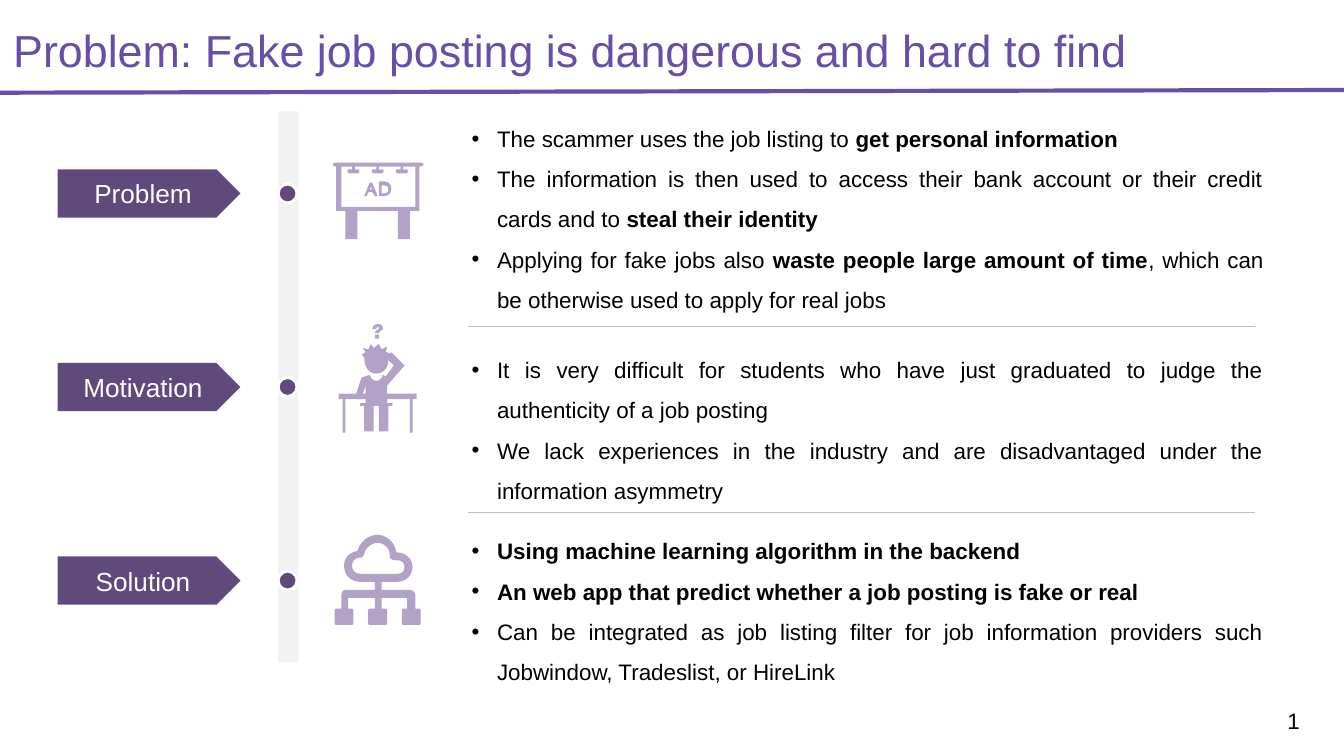
from dataclasses import dataclass

from lxml import etree
from pptx import Presentation
from pptx.dml.color import RGBColor
from pptx.enum.shapes import MSO_CONNECTOR, MSO_SHAPE
from pptx.enum.text import MSO_ANCHOR, PP_ALIGN
from pptx.oxml.ns import qn
from pptx.util import Inches, Pt

RECT, OVAL, TAG = MSO_SHAPE.RECTANGLE, MSO_SHAPE.OVAL, MSO_SHAPE.PENTAGON
STRAIGHT = MSO_CONNECTOR.STRAIGHT
TOP, MIDDLE = MSO_ANCHOR.TOP, MSO_ANCHOR.MIDDLE
LEFT, CENTER, RIGHT, JUSTIFY = PP_ALIGN.LEFT, PP_ALIGN.CENTER, PP_ALIGN.RIGHT, PP_ALIGN.JUSTIFY


@dataclass(frozen=True)
class Theme:
    """Colours, font and type sizes of the slide."""
    font: str = "Arial"
    title: str = "674EA7"
    accent: str = "604A7B"
    icon: str = "B3A2C7"
    track: str = "F2F2F2"
    divider: str = "BFBFBF"
    text: str = "000000"
    white: str = "FFFFFF"
    title_size: int = 24
    label_size: int = 14
    body_size: int = 12


def box(left, top, right, bottom):
    """Return the four corners of a rectangle."""
    return [(left, top), (right, top), (right, bottom), (left, bottom)]


def flatten(contour, steps=6):
    """Turn corner points and six-number Bezier segments into EMU points."""
    points = []
    for seg in contour:
        if len(seg) == 2:
            points.append(seg)
            continue
        ctrl = (points[-1], seg[:2], seg[2:4], seg[4:])
        for i in range(1, steps + 1):
            t = i / steps
            w = ((1 - t) ** 3, 3 * t * (1 - t) ** 2, 3 * t * t * (1 - t), t ** 3)
            points.append(tuple(sum(k * c[n] for k, c in zip(w, ctrl)) for n in (0, 1)))
    return [(Inches(x), Inches(y)) for x, y in points]


class SlideBuilder:
    """Draws styled elements on one slide."""

    def __init__(self, slide, theme):
        """Keep the slide and its theme."""
        self.s, self.theme = slide, theme

    def runs(self, p, parts, size, color):
        """Add (text, bold) runs to a paragraph."""
        for text, bold in parts:
            r = p.add_run()
            r.text = text
            r.font.name, r.font.size, r.font.bold = self.theme.font, Pt(size), bold
            r.font.color.rgb = RGBColor.from_string(color)

    def text(self, at, text, size, color, align=LEFT, anchor=TOP, inset=0.05):
        """Add a text box with one line."""
        tf = self.s.shapes.add_textbox(*map(Inches, at)).text_frame
        tf.word_wrap, tf.vertical_anchor = True, anchor
        tf.margin_top = tf.margin_bottom = Inches(inset)
        p = tf.paragraphs[0]
        p.alignment = align
        self.runs(p, [(text, False)], size, color)

    def bullets(self, at, items):
        """Add a justified bullet list."""
        tf = self.s.shapes.add_textbox(*map(Inches, at)).text_frame
        tf.word_wrap = True
        for i, parts in enumerate(items):
            p = tf.add_paragraph() if i else tf.paragraphs[0]
            p.alignment, p.line_spacing = JUSTIFY, 1.5
            pPr = p._p.get_or_add_pPr()
            pPr.set("marL", str(Inches(0.19)))
            pPr.set("indent", str(Inches(-0.19)))
            color = etree.SubElement(pPr, qn("a:buClr"))
            etree.SubElement(color, qn("a:srgbClr"), val=self.theme.text)
            etree.SubElement(pPr, qn("a:buFont"), typeface=self.theme.font)
            etree.SubElement(pPr, qn("a:buChar"), char="•")
            self.runs(p, parts, self.theme.body_size, self.theme.text)

    def paint(self, sp, fill, line=None):
        """Set the fill and outline of a shape."""
        sp.shadow.inherit = False
        sp.fill.solid()
        sp.fill.fore_color.rgb = RGBColor.from_string(fill)
        if line:
            sp.line.color.rgb, sp.line.width = RGBColor.from_string(line), Pt(1.5)
        else:
            sp.line.fill.background()

    def shape(self, kind, at, fill, line=None, label=None):
        """Add a preset shape with an optional label."""
        sp = self.s.shapes.add_shape(kind, *map(Inches, at))
        self.paint(sp, fill, line)
        if label:
            tf = sp.text_frame
            tf.vertical_anchor = MIDDLE
            p = tf.paragraphs[0]
            p.alignment = CENTER
            self.runs(p, [(label, False)], self.theme.label_size, self.theme.white)

    def line(self, ends, color, width):
        """Add a straight line."""
        sp = self.s.shapes.add_connector(STRAIGHT, *map(Inches, ends))
        sp.line.color.rgb, sp.line.width = RGBColor.from_string(color), Pt(width)
        etree.SubElement(sp._element.spPr, qn("a:effectLst"))

    def icon(self, contours):
        """Add one freeform made of closed contours."""
        first, *others = map(flatten, contours)
        fb = self.s.shapes.build_freeform(*first[0], scale=1.0)
        fb.add_line_segments(first[1:], close=True)
        for points in others:
            fb.move_to(*points[0])
            fb.add_line_segments(points[1:], close=True)
        self.paint(fb.convert_to_shape(), self.theme.icon)


def lamp(x):
    """Return a billboard lamp centred on x."""
    return [(x - 0.01, 1.24), (x + 0.01, 1.24), (x + 0.01, 1.26), (x + 0.03, 1.26),
            (x + 0.05, 1.26, x + 0.05, 1.29, x + 0.03, 1.29), (x - 0.03, 1.29),
            (x - 0.05, 1.29, x - 0.05, 1.26, x - 0.03, 1.26), (x - 0.01, 1.26)]


BILLBOARD = [
    [(2.5, 1.21), (3.13, 1.21), (3.16, 1.21, 3.16, 1.24, 3.12, 1.24), (3.12, 1.57),
     (3.05, 1.57), (3.05, 1.78), (2.96, 1.78), (2.96, 1.57), (2.66, 1.57), (2.66, 1.78),
     (2.57, 1.78), (2.57, 1.57), (2.5, 1.57), (2.5, 1.24), (2.47, 1.24, 2.47, 1.21, 2.5, 1.21)],
    box(2.54, 1.24, 3.09, 1.54), *(lamp(2.63 + 0.18 * i) for i in range(3)),
    [(2.75, 1.36), (2.77, 1.36), (2.81, 1.46), (2.79, 1.46), (2.77, 1.43), (2.74, 1.43),
     (2.73, 1.46), (2.71, 1.46)],
    [(2.76, 1.39), (2.75, 1.41), (2.77, 1.41)],
    [(2.82, 1.35), (2.86, 1.35), (2.93, 1.35, 2.93, 1.46, 2.86, 1.46), (2.82, 1.46)],
    [(2.84, 1.38), (2.86, 1.38), (2.9, 1.38, 2.9, 1.44, 2.86, 1.44), (2.84, 1.44)],
]
STUDENT = [
    [(2.82, 2.56), (2.84, 2.6), (2.88, 2.58), (2.87, 2.62), (2.91, 2.63), (2.91, 2.62),
     (3.01, 2.72), (2.88, 2.87), (2.88, 2.93), (3.1, 2.93), (3.1, 2.97), (3.07, 2.97),
     (3.07, 3.22), (3.05, 3.22), (3.05, 2.97), (2.88, 2.97), (2.88, 3), (2.92, 3), (2.92, 3.02),
     (2.89, 3.02), (2.89, 3.21), (2.82, 3.21), (2.82, 3.02), (2.78, 3.02), (2.78, 3.21),
     (2.71, 3.21), (2.71, 3.02), (2.68, 3.02), (2.68, 3), (2.72, 3), (2.72, 2.97), (2.57, 2.97),
     (2.57, 3.22), (2.55, 3.22), (2.55, 2.97), (2.52, 2.97), (2.52, 2.93), (2.65, 2.93),
     (2.69, 2.81), (2.75, 2.79), (2.77, 2.85, 2.83, 2.85, 2.85, 2.79), (2.87, 2.8), (2.93, 2.72),
     (2.89, 2.68), (2.89, 2.74, 2.85, 2.78, 2.8, 2.78), (2.75, 2.78, 2.71, 2.74, 2.71, 2.66),
     (2.69, 2.64), (2.72, 2.62), (2.7, 2.59), (2.74, 2.6), (2.76, 2.56), (2.78, 2.59)],
    [(2.72, 2.87), (2.7, 2.93), (2.72, 2.93)],
    box(2.79, 2.49, 2.82, 2.52),
    [(2.77, 2.45), (2.77, 2.4, 2.85, 2.4, 2.85, 2.44), (2.85, 2.46, 2.82, 2.46, 2.82, 2.48),
     (2.79, 2.48), (2.79, 2.45, 2.82, 2.46, 2.82, 2.44), (2.82, 2.43, 2.8, 2.43, 2.8, 2.45)],
]
CLOUD = [
    [(2.68, 4.33), (2.61, 4.33, 2.56, 4.28, 2.56, 4.21), (2.56, 4.15, 2.6, 4.11, 2.66, 4.1),
     (2.68, 4.03, 2.74, 3.98, 2.81, 3.98), (2.88, 3.98, 2.94, 4.04, 2.95, 4.11),
     (3.02, 4.11, 3.07, 4.16, 3.07, 4.22), (3.07, 4.28, 3.02, 4.33, 2.96, 4.33)],
    [(2.68, 4.27), (2.64, 4.27, 2.62, 4.24, 2.62, 4.21), (2.62, 4.18, 2.64, 4.15, 2.68, 4.15),
     (2.69, 4.15, 2.71, 4.14, 2.71, 4.12), (2.72, 4.08, 2.76, 4.04, 2.81, 4.04),
     (2.86, 4.04, 2.9, 4.08, 2.9, 4.13), (2.9, 4.16, 2.91, 4.17, 2.96, 4.17),
     (2.99, 4.17, 3.01, 4.19, 3.01, 4.22), (3.01, 4.25, 2.99, 4.27, 2.96, 4.27)],
    [(2.79, 4.33), (2.84, 4.33), (2.84, 4.39), (3.05, 4.39), (3.07, 4.39, 3.09, 4.41, 3.09, 4.43),
     (3.09, 4.53), (3.03, 4.53), (3.03, 4.45), (2.84, 4.45), (2.84, 4.53), (2.79, 4.53),
     (2.79, 4.45), (2.59, 4.45), (2.59, 4.53), (2.54, 4.53), (2.54, 4.43),
     (2.54, 4.41, 2.55, 4.39, 2.57, 4.39), (2.79, 4.39)],
    *([(x + 0.02, 4.53), (x + 0.12, 4.53), (x + 0.14, 4.53, x + 0.14, 4.53, x + 0.14, 4.55),
       (x + 0.14, 4.63), (x + 0.14, 4.65, x + 0.14, 4.65, x + 0.12, 4.65), (x + 0.02, 4.65),
       (x, 4.65, x, 4.65, x, 4.63), (x, 4.55), (x, 4.53, x, 4.53, x + 0.02, 4.53)]
      for x in (2.49, 2.74, 2.99)),
]
SECTIONS = [
    ("Problem", BILLBOARD, 0.78, 1.61, [
        [("The scammer uses the job listing to ", False), ("get personal information", True)],
        [("The information is then used to access their bank account or their credit cards and to ",
          False), ("steal their identity", True)],
        [("Applying for fake jobs also ", False), ("waste people large amount of time", True),
         (", which can be otherwise used to apply for real jobs", False)]]),
    ("Motivation", STUDENT, 2.5, 1.32, [
        [("It is very difficult for students who have just graduated to judge the authenticity "
          "of a job posting", False)],
        [("We lack experiences in the industry and are disadvantaged under the information "
          "asymmetry", False)]]),
    ("Solution", CLOUD, 3.85, 1.3, [
        [("Using machine learning algorithm in the backend", True)],
        [("An web app that predict whether a job posting is fake or real ", True)],
        [("Can be integrated as job listing filter for job information providers such "
          "Jobwindow, Tradeslist, or HireLink", False)]]),
]


def main():
    """Build and save the slide."""
    prs = Presentation()
    prs.slide_width, prs.slide_height = Inches(10), Inches(10 * 9 / 16)
    theme = Theme()
    b = SlideBuilder(prs.slides.add_slide(prs.slide_layouts[6]), theme)
    b.text((9.12, 5.21, 0.65, 0.3), "1", theme.body_size, theme.text, RIGHT, MIDDLE)
    b.line((-0.01, 0.69, 10.03, 0.67), theme.title, 2.25)
    b.text((0, 0.07, 9.96, 0.59), "Problem: Fake job posting is dangerous and hard to find",
           theme.title_size, theme.title, inset=0.1)
    b.shape(RECT, (2.07, 0.83, 0.15, 4.1), theme.track)
    for i, (label, icon, top, height, items) in enumerate(SECTIONS):
        y = 1.26 + 1.44 * i
        b.shape(OVAL, (2.07, y + 0.11, 0.14, 0.14), theme.accent, theme.white)
        b.shape(TAG, (0.43, y, 1.36, 0.36), theme.accent, label=label)
        b.bullets((3.41, top, 6.09, height), items)
        b.icon(icon)
    for y in (2.43, 3.81):
        b.line((3.48, y, 9.34, y), theme.divider, 0.25)
    prs.save("out.pptx")


if __name__ == "__main__":
    main()
